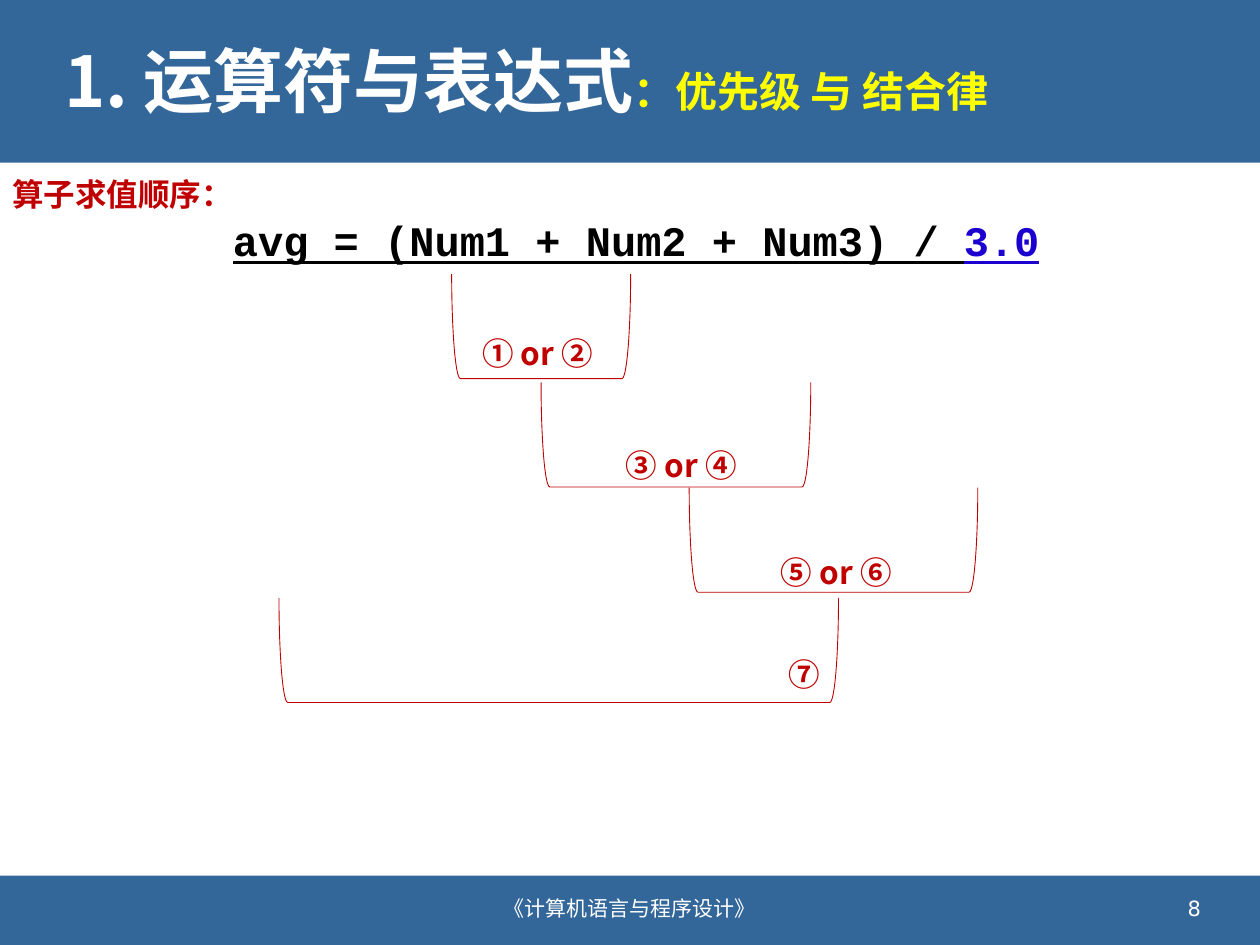
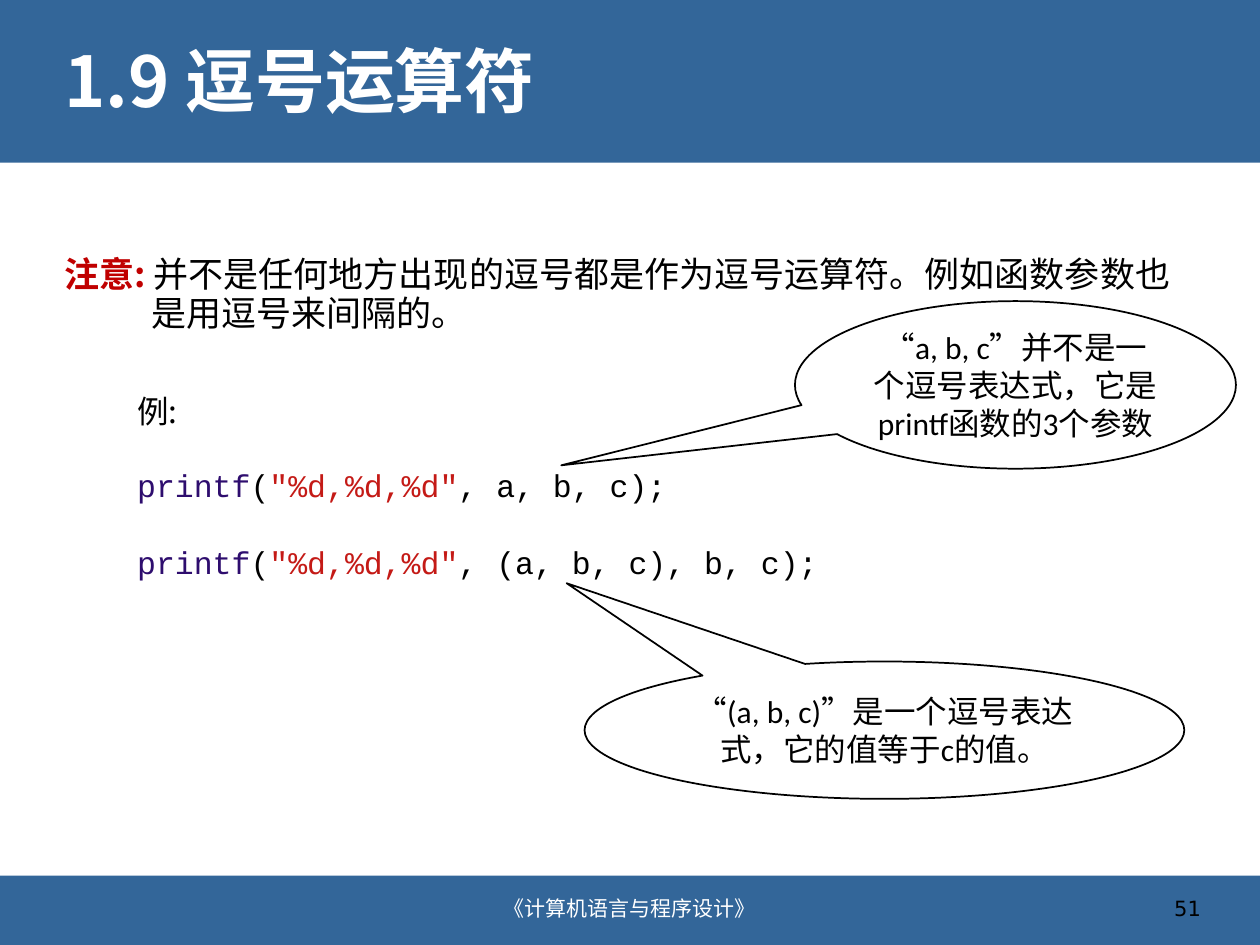
from dataclasses import dataclass

from lxml.etree import SubElement
from pptx import Presentation
from pptx.dml.color import RGBColor
from pptx.enum.shapes import MSO_SHAPE
from pptx.enum.text import MSO_ANCHOR, PP_ALIGN
from pptx.oxml.ns import qn
from pptx.util import Pt

PX = 9144


@dataclass(frozen=True)
class Theme:
    blue: str = "336699"
    white: str = "FFFFFF"
    black: str = "000000"
    red: str = "C00000"
    yellow: str = "FFFF00"
    number: str = "1C00CF"
    function: str = "2E0D6E"
    string: str = "C41A16"
    chinese: str = "Noto Sans CJK SC"
    latin: str = "Calibri"
    code: str = "Courier New"
    page: str = "DejaVu Sans"
    title: int = 40
    subtitle: int = 24
    body: int = 20
    label: int = 18
    footer: int = 12


theme = Theme()


def add_run(paragraph, text, size, color, typeface=theme.chinese, bold=False, underline=False):
    run = paragraph.add_run()
    run.text = text
    font = run.font
    font.size = Pt(size)
    font.bold = bold
    font.underline = underline
    font.color.rgb = RGBColor.from_string(color)
    font.name = typeface
    SubElement(run.font._element, qn("a:ea"), typeface=theme.chinese)


def add_text_box(slide, left, top, width, height, wrap=True, anchor=MSO_ANCHOR.TOP):
    shape = slide.shapes.add_textbox(left * PX, top * PX, width * PX, height * PX)
    shape.text_frame.word_wrap = wrap
    shape.text_frame.vertical_anchor = anchor
    return shape.text_frame


presentation = Presentation()
presentation.slide_width = 1000 * PX
presentation.slide_height = 750 * PX

headings = [
    ("1. 运算符与表达式", "：优先级 与 结合律", "8", theme.white),
    ("1.9 逗号运算符", "", "51", theme.black),
]
slides = []
for heading, subtitle, page_number, page_color in headings:
    slide = presentation.slides.add_slide(presentation.slide_layouts[6])
    slides.append(slide)
    for top, height in [(0, 129), (695, 55)]:
        band = slide.shapes.add_shape(MSO_SHAPE.RECTANGLE, 0, top * PX, 1000 * PX, height * PX)
        band.shadow.inherit = False
        band.fill.solid()
        band.fill.fore_color.rgb = RGBColor.from_string(theme.blue)
        band.line.fill.background()

    paragraph = add_text_box(slide, 41, 18, 919, 99, anchor=MSO_ANCHOR.MIDDLE).paragraphs[0]
    paragraph.line_spacing = 0.9
    add_run(paragraph, heading, theme.title, theme.white, bold=True)
    if subtitle:
        add_run(paragraph, subtitle, theme.subtitle, theme.yellow, bold=True)

    paragraph = add_text_box(slide, 320, 701, 360, 40, anchor=MSO_ANCHOR.MIDDLE).paragraphs[0]
    paragraph.alignment = PP_ALIGN.CENTER
    add_run(paragraph, "《计算机语言与程序设计》", theme.footer, theme.white)

    paragraph = add_text_box(slide, 723, 701, 240, 40, anchor=MSO_ANCHOR.MIDDLE).paragraphs[0]
    paragraph.alignment = PP_ALIGN.RIGHT
    add_run(paragraph, page_number, theme.footer, page_color, theme.page)

order_slide, comma_slide = slides

paragraph = add_text_box(order_slide, 175, 165, 705, 50).paragraphs[0]
for text, color in [("avg = (Num1 + Num2 + Num3) / ", theme.black), ("3.0", theme.number)]:
    add_run(paragraph, text, theme.subtitle, color, theme.code, bold=True, underline=True)

bracket_depth = 83
for left, top, span in [(359, 217, 142), (430, 303, 214), (547, 387, 229), (222, 474, 444)]:
    shift = (span - bracket_depth) // 2
    bracket = order_slide.shapes.add_shape(
        MSO_SHAPE.LEFT_BRACKET, (left + shift) * PX, (top - shift) * PX, bracket_depth * PX, span * PX
    )
    bracket.rotation = 270
    bracket.shadow.inherit = False
    bracket.fill.background()
    bracket.line.color.rgb = RGBColor.from_string(theme.red)
    bracket.line.width = Pt(0.5)

labels = [
    ("算子求值顺序：", 0, 134, 197),
    ("① or ②", 373, 260, 113),
    ("③ or ④", 487, 349, 113),
    ("⑤ or ⑥", 610, 434, 113),
    ("⑦", 616, 515, 45),
]
for text, left, top, width in labels:
    paragraph = add_text_box(order_slide, left, top, width, 40, wrap=False).paragraphs[0]
    add_run(paragraph, text, theme.label, theme.red, bold=True)

note = add_text_box(comma_slide, 41, 147, 919, 528)
note.margin_top = 57 * PX
paragraph = note.paragraphs[0]
paragraph.line_spacing = 0.92
properties = paragraph._p.get_or_add_pPr()
properties.set("marL", str(69 * PX))
properties.set("indent", str(-69 * PX))
add_run(paragraph, "注意: ", theme.body, theme.red, bold=True)
add_run(
    paragraph,
    "并不是任何地方出现的逗号都是作为逗号运算符。例如函数参数也是用逗号来间隔的。",
    theme.body,
    theme.black,
)

callouts = [
    ("“a, b, c”并不是一个逗号表达式，它是printf函数的3个参数", 631, 239, 350, 133, (-1.03, 0.48)),
    ("“(a, b, c)”是一个逗号表达式，它的值等于c的值。", 464, 525, 476, 109, (-0.53, -1.07)),
]
for text, left, top, width, height, pointer in callouts:
    callout = comma_slide.shapes.add_shape(
        MSO_SHAPE.OVAL_CALLOUT, left * PX, top * PX, width * PX, height * PX
    )
    callout.adjustments[0], callout.adjustments[1] = pointer
    callout.shadow.inherit = False
    callout.fill.solid()
    callout.fill.fore_color.rgb = RGBColor.from_string(theme.white)
    callout.line.color.rgb = RGBColor.from_string(theme.black)
    callout.line.width = Pt(1)
    callout.text_frame.word_wrap = True
    callout.text_frame.vertical_anchor = MSO_ANCHOR.MIDDLE
    paragraph = callout.text_frame.paragraphs[0]
    paragraph.alignment = PP_ALIGN.CENTER
    add_run(paragraph, text, theme.label, theme.black, theme.latin)

example = add_text_box(comma_slide, 99, 306, 587, 162)
add_run(example.paragraphs[0], "例:", theme.label, theme.black)
for arguments, space_before in [(", a, b, c);", 21), (", (a, b, c), b, c);", 22)]:
    paragraph = example.add_paragraph()
    paragraph.space_before = Pt(space_before)
    code_runs = [
        ("printf", theme.function),
        ("(", theme.black),
        ('"%d,%d,%d"', theme.string),
        (arguments, theme.black),
    ]
    for text, color in code_runs:
        add_run(paragraph, text, theme.label, color, theme.code)

presentation.save("out.pptx")
